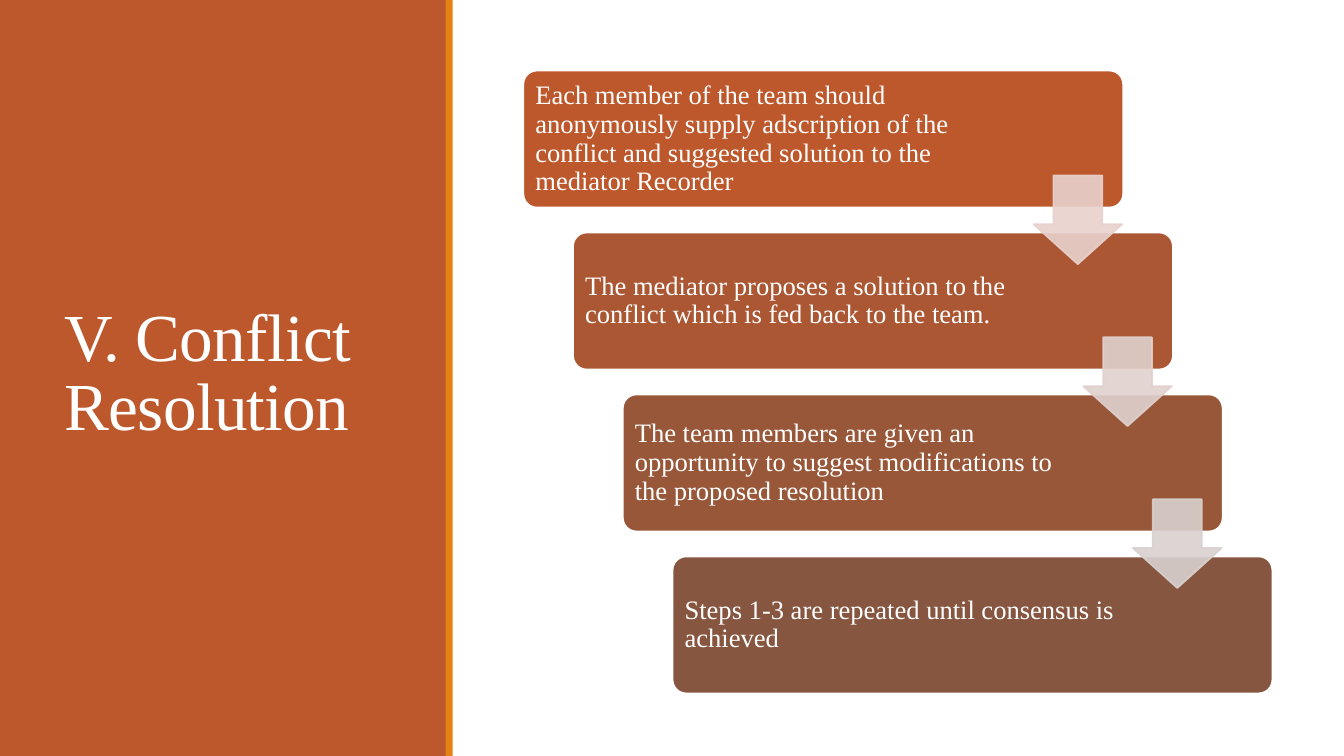
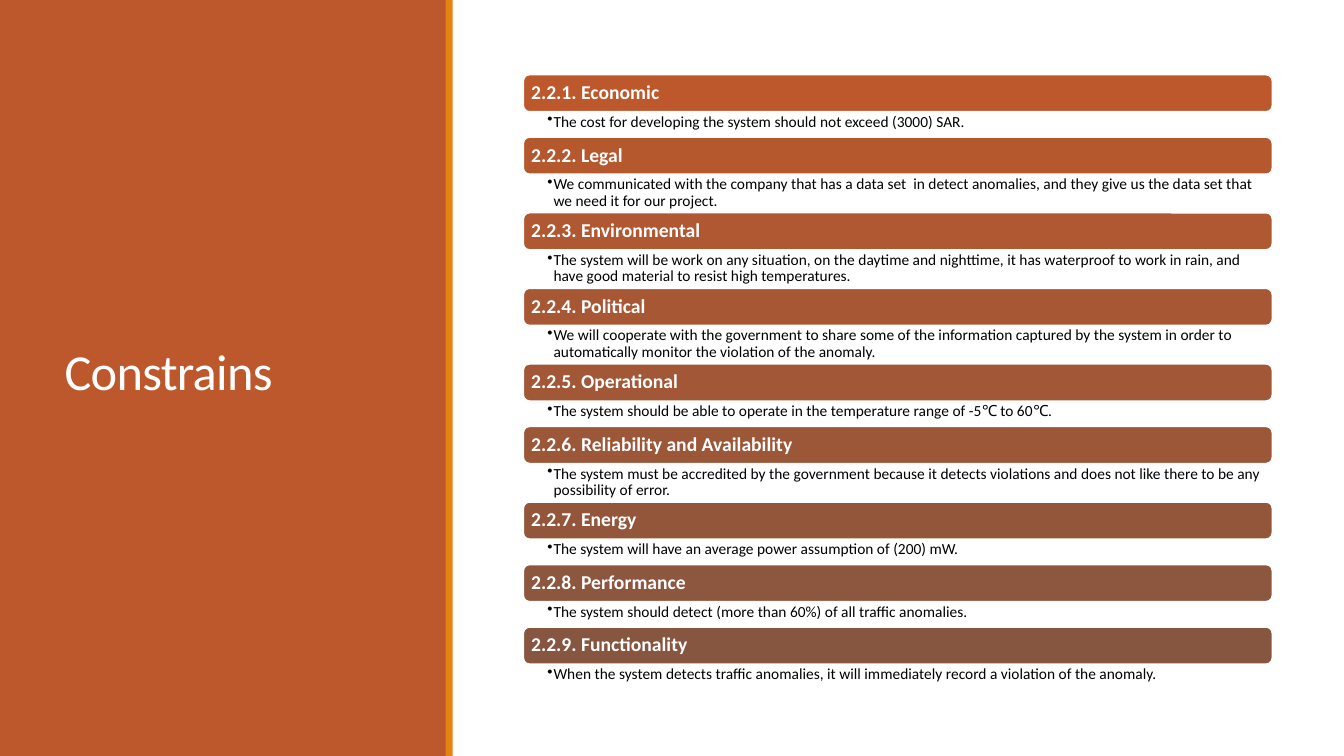
"""Build two slides with a side title panel: a step cascade and a list of constraints."""
from dataclasses import dataclass

from lxml import etree
from pptx import Presentation
from pptx.dml.color import RGBColor
from pptx.enum import shapes, text
from pptx.oxml.ns import qn
from pptx.util import Inches, Pt


@dataclass(frozen=True)
class Theme:
    panel: str = "BD582C"
    accent: str = "E48312"
    white: str = "FFFFFF"
    ink: str = "000000"
    box_ramp: tuple = ("BD582C", "865640")
    arrow_ramp: tuple = ("E8D1CD", "D9D1CF")
    serif: str = "Times New Roman"
    sans: str = "Calibri"
    step_size: float = 19
    heading_size: float = 14
    detail_size: float = 11
    outline: float = 1.25


THEME = Theme()
KIND = shapes.MSO_SHAPE
MIDDLE = text.MSO_ANCHOR.MIDDLE
LEFT, CONTENT_WIDTH = 5.19, 7.43

STEPS = [
    "Each member of the team should anonymously supply adscription of the conflict "
    "and suggested solution to the mediator Recorder",
    "The mediator proposes a solution to the conflict which is fed back to the team.",
    "The team members are given an opportunity to suggest modifications to the proposed resolution",
    "Steps 1-3 are repeated until consensus is achieved",
]
CONSTRAINTS = [
    ("2.2.1. Economic", "The cost for developing the system should not exceed (3000) SAR."),
    ("2.2.2. Legal",
     "We communicated with the company that has a data set  in detect anomalies, "
     "and they give us the data set that we need it for our project."),
    ("2.2.3. Environmental",
     "The system will be work on any situation, on the daytime and nighttime, it has "
     "waterproof to work in rain, and have good material to resist high temperatures."),
    ("2.2.4. Political",
     "We will cooperate with the government to share some of the information captured by "
     "the system in order to automatically monitor the violation of the anomaly."),
    ("2.2.5. Operational",
     "The system should be able to operate in the temperature range of -5℃ to 60℃."),
    ("2.2.6. Reliability and Availability",
     "The system must be accredited by the government because it detects violations "
     "and does not like there to be any possibility of error."),
    ("2.2.7. Energy", "The system will have an average power assumption of (200) mW."),
    ("2.2.8. Performance", "The system should detect (more than 60%) of all traffic anomalies."),
    ("2.2.9. Functionality",
     "When the system detects traffic anomalies, it will immediately record a violation "
     "of the anomaly."),
]


def ramp(ends, count):
    """Return evenly spaced colours between two end colours."""
    first, last = (RGBColor.from_string(end) for end in ends)
    return [
        str(RGBColor(*(round(a + (b - a) * i / (count - 1)) for a, b in zip(first, last))))
        for i in range(count)
    ]


def add_box(page, kind, place, fill, line=None):
    """Add a flat preset shape, outlined when a line colour is given."""
    box = page.shapes.add_shape(kind, *map(Inches, place))
    box.shadow.inherit = False
    box.fill.solid()
    box.fill.fore_color.rgb = RGBColor.from_string(fill)
    if line:
        box.line.color.rgb = RGBColor.from_string(line)
        box.line.width = Pt(THEME.outline)
    else:
        box.line.fill.background()
    return box


def write(shape, words, font, size, color, margins, anchor=MIDDLE, spacing=0.9, bold=False):
    """Write one left-aligned paragraph in a shape and return it."""
    frame = shape.text_frame
    frame.text = words
    frame.word_wrap = True
    frame.auto_size = text.MSO_AUTO_SIZE.NONE
    frame.vertical_anchor = anchor
    (frame.margin_left, frame.margin_top,
     frame.margin_right, frame.margin_bottom) = map(Inches, margins)
    para = frame.paragraphs[0]
    para.alignment = text.PP_ALIGN.LEFT
    para.line_spacing = spacing
    for span in para.runs:
        span.font.name, span.font.size, span.font.bold = font, Pt(size), bold
        span.font.color.rgb = RGBColor.from_string(color)
    return para


def add_page(deck, words, font, size):
    """Add a title-only page with the coloured side panel behind its title."""
    page = deck.slides.add_slide(deck.slide_layouts[5])
    title = page.shapes.title
    for place, fill in (((0, 0, 4.43, 7.5), THEME.panel), ((4.42, 0, 0.07, 7.5), THEME.accent)):
        title.element.addprevious(add_box(page, KIND.RECTANGLE, place, fill).element)
    title.left, title.top, title.width, title.height = map(Inches, (0.54, 0.57, 3.37, 6.31))
    para = write(title, words, font, size, THEME.white, (0.1, 0.05, 0.1, 0.05), spacing=0.85)
    for span in para.runs:
        span._r.get_or_add_rPr().set("spc", "-50")
    return page


def add_cascade(page):
    """Draw the steps as a descending staircase joined by arrows."""
    top, width, height, arrow_side = 0.7, 5.95, 1.36, 0.88
    gaps = len(STEPS) - 1
    shift, pitch = (CONTENT_WIDTH - width) / gaps, 4.82 / gaps
    corners = [(LEFT + i * shift, top + i * pitch) for i in range(len(STEPS))]
    for words, (x, y), fill in zip(STEPS, corners, ramp(THEME.box_ramp, len(STEPS))):
        box = add_box(page, KIND.ROUNDED_RECTANGLE, (x, y, width, height), fill, THEME.white)
        box.adjustments[0] = 0.1
        write(box, words, THEME.serif, THEME.step_size, THEME.white, (0.08, 0.08, 1.5, 0.08))
    for (x, y), fill in zip(corners, ramp(THEME.arrow_ramp, gaps)):
        place = (x + 5.06, y + 1.04, arrow_side, arrow_side)
        arrow = add_box(page, KIND.DOWN_ARROW, place, fill, fill)
        arrow.adjustments[0], arrow.adjustments[1] = 0.55, 0.45
        for color in arrow.element.spPr.iter(qn("a:srgbClr")):
            etree.SubElement(color, qn("a:alpha")).set("val", "90000")


def add_bullet(para):
    """Give a paragraph a hanging bullet."""
    para.level = 1
    props = para._p.get_or_add_pPr()
    props.set("marL", str(Inches(0.06)))
    props.set("indent", str(Inches(-0.06)))
    etree.SubElement(props, qn("a:buChar")).set("char", "•")


def add_constraints(page):
    """Stack heading bars, each followed by its bulleted detail."""
    y, bar_height, line_limit = 0.74, 0.37, 110
    for (heading, detail), fill in zip(CONSTRAINTS, ramp(THEME.box_ramp, len(CONSTRAINTS))):
        place = (LEFT, y, CONTENT_WIDTH, bar_height)
        bar = add_box(page, KIND.ROUNDED_RECTANGLE, place, fill, THEME.white)
        write(bar, heading, THEME.sans, THEME.heading_size, THEME.white, (0.06,) * 4, bold=True)
        y += bar_height
        height = 0.38 if len(detail) > line_limit else 0.25
        box = page.shapes.add_textbox(*map(Inches, (LEFT, y, CONTENT_WIDTH, height)))
        add_bullet(write(box, detail, THEME.sans, THEME.detail_size, THEME.ink,
                         (0.24, 0.02, 0.11, 0.02), anchor=text.MSO_ANCHOR.TOP))
        y += height


def main():
    """Build and save the deck."""
    deck = Presentation()
    deck.slide_width, deck.slide_height = Inches(13.33), Inches(7.5)
    add_cascade(add_page(deck, "V. Conflict Resolution", THEME.serif, 48))
    add_constraints(add_page(deck, "Constrains", THEME.sans, 36))
    deck.save("out.pptx")


if __name__ == "__main__":
    main()
